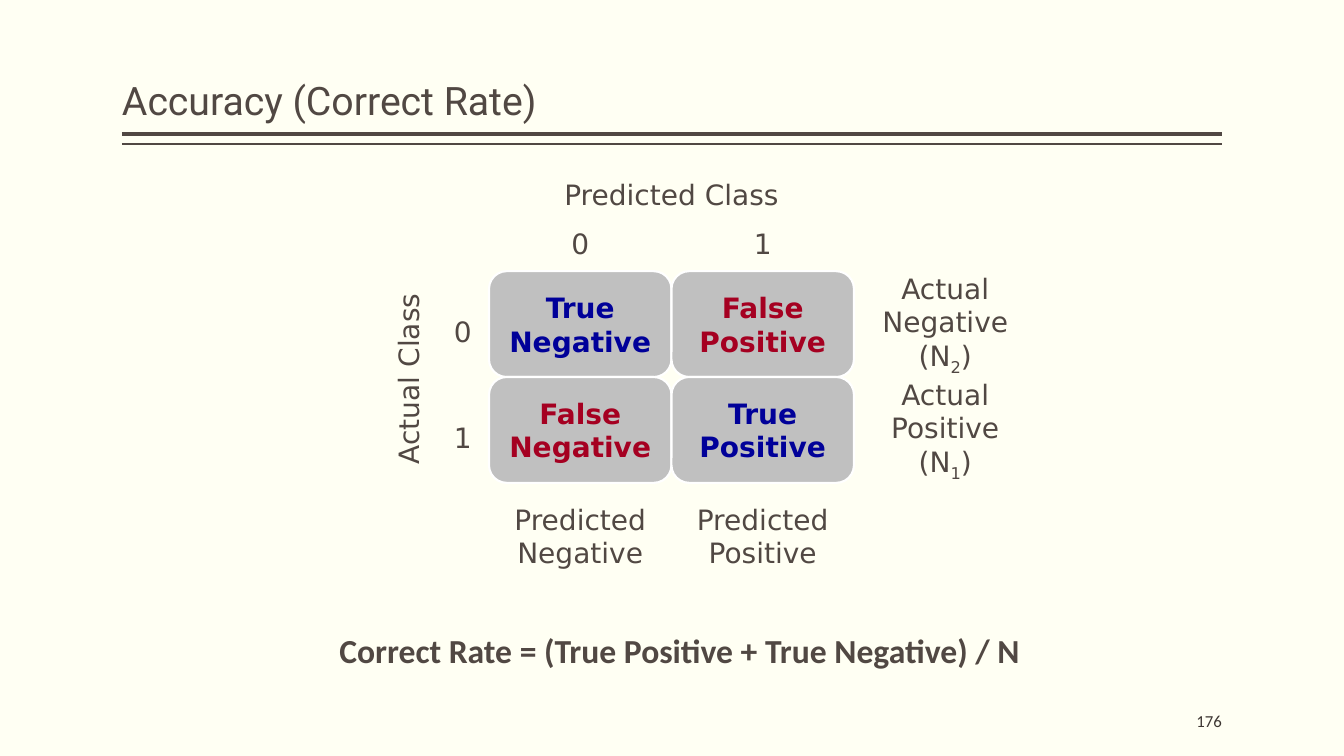
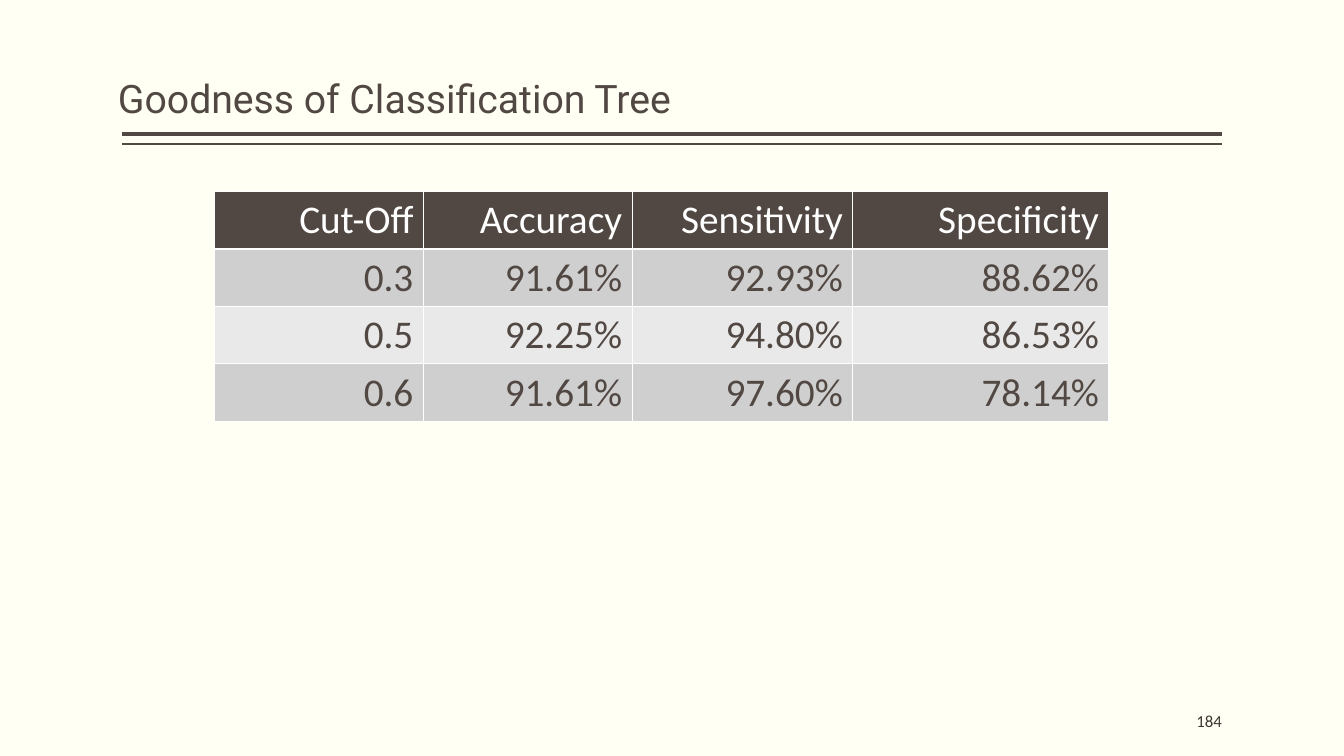
"""Build two slides on classification accuracy and cut-off choice."""
from lxml.etree import SubElement
from pptx import Presentation
from pptx.dml.color import RGBColor
from pptx.enum.shapes import MSO_CONNECTOR, MSO_SHAPE
from pptx.enum.text import MSO_ANCHOR, PP_ALIGN
from pptx.oxml.ns import qn
from pptx.util import Inches, Pt

INK, PAPER, WHITE, GREY = "514843", "FFFFF3", "FFFFFF", "C0C0C0"
RIGHT_CALL, WRONG_CALL = "000099", "A50021"
BANDS = ["D0CFCF", "E9E9E9"]

TITLE = dict(name="Roboto", size=Pt(28), color=INK)
NUMBER = dict(name="Calibri", size=Pt(12), color="3D3632")
LABEL = dict(name="DejaVu Sans", size=Pt(20), color=INK)
FORMULA = dict(name="Calibri", size=Pt(24), color=INK, bold=True)
FIGURE = dict(name="Calibri", size=Pt(28), color=INK)

SLIDE_W, SLIDE_H = 13.33, 7.5
MARGIN = 1.21
RULES = [(1.33, 3), (1.43, 1)]

OUTCOMES = [
    [("True", "Negative", RIGHT_CALL), ("False", "Positive", WRONG_CALL)],
    [("False", "Negative", WRONG_CALL), ("True", "Positive", RIGHT_CALL)],
]
TOTALS = [
    (2, 0, [["Actual"], ["Negative (N", "2", ")"]]),
    (2, 1, [["Actual"], ["Positive (N", "1", ")"]]),
    (0, 2, [["Predicted"], ["Negative"]]),
    (1, 2, [["Predicted"], ["Positive"]]),
]
CLASSES = ["0", "1"]
RATE = "Correct Rate = (True Positive + True Negative) / N"
GRID_X, GRID_Y, CELL_W, CELL_H = 4.85, 2.69, 1.81, 1.05

CUTOFFS = [
    ("Cut-Off", "Accuracy", "Sensitivity", "Specificity"),
    ("0.3", "91.61%", "92.93%", "88.62%"),
    ("0.5", "92.25%", "94.80%", "86.53%"),
    ("0.6", "91.61%", "97.60%", "78.14%"),
]
COLUMN_WIDTHS = [2.07, 2.07, 2.19, 2.54]
ROW_H = 0.57


def rgb(code):
    return RGBColor.from_string(code)


def style(font, look):
    for key, value in look.items():
        if key == "color":
            font.color.rgb = rgb(value)
        else:
            setattr(font, key, value)


def write(frame, lines, look, align=PP_ALIGN.CENTER, **settings):
    """Write lines of runs; the second run of a line is a subscript."""
    for key, value in settings.items():
        setattr(frame, key, value)
    for row, pieces in enumerate(lines):
        line = frame.add_paragraph() if row else frame.paragraphs[0]
        line.alignment = align
        for order, piece in enumerate(pieces):
            run = line.add_run()
            run.text = piece
            style(run.font, look)
            if order == 1:
                run.font._element.set("baseline", "-25000")
    return frame


def add_text(slide, box, lines, look, **settings):
    area = slide.shapes.add_textbox(*map(Inches, box))
    write(area.text_frame, lines, look, **settings)
    return area


def add_label(slide, center_x, center_y, text, width=0.38):
    box = (center_x - width / 2, center_y - 0.22, width, 0.44)
    return add_text(slide, box, [[text]], LABEL, word_wrap=False)


def add_page(deck, title, number, title_box):
    slide = deck.slides.add_slide(deck.slide_layouts[6])
    slide.background.fill.solid()
    slide.background.fill.fore_color.rgb = rgb(PAPER)
    for y, weight in RULES:
        rule = slide.shapes.add_connector(
            MSO_CONNECTOR.STRAIGHT, Inches(MARGIN), Inches(y),
            Inches(SLIDE_W - MARGIN), Inches(y))
        rule.line.color.rgb = rgb(INK)
        rule.line.width = Pt(weight)
        SubElement(rule._element.spPr, qn("a:effectLst"))
    flush = dict(margin_left=0, margin_right=0, word_wrap=True)
    heading = add_text(slide, title_box, [[title]], TITLE, align=PP_ALIGN.LEFT,
                       vertical_anchor=MSO_ANCHOR.BOTTOM, **flush)
    heading.text_frame.paragraphs[0].line_spacing = 0.9
    add_text(slide, (SLIDE_W - MARGIN - 2, 6.95, 2, 0.4), [[number]], NUMBER,
             align=PP_ALIGN.RIGHT, vertical_anchor=MSO_ANCHOR.MIDDLE, **flush)
    return slide


def grid_box(column, row):
    return GRID_X + column * CELL_W, GRID_Y + row * CELL_H, CELL_W, CELL_H


def add_confusion_matrix(slide):
    centered = dict(vertical_anchor=MSO_ANCHOR.MIDDLE, word_wrap=False)
    for row, outcomes in enumerate(OUTCOMES):
        for column, (verdict, sign, color) in enumerate(outcomes):
            tile = slide.shapes.add_shape(
                MSO_SHAPE.ROUNDED_RECTANGLE, *map(Inches, grid_box(column, row)))
            tile.shadow.inherit = False
            tile.fill.solid()
            tile.fill.fore_color.rgb = rgb(GREY)
            tile.line.color.rgb = rgb(WHITE)
            tile.line.width = Pt(1.5)
            write(tile.text_frame, [[verdict], [sign]],
                  {**LABEL, "color": color, "bold": True}, **centered)
    for column, row, lines in TOTALS:
        add_text(slide, grid_box(column, row), lines, LABEL, **centered)
    for index, name in enumerate(CLASSES):
        add_label(slide, GRID_X + (index + 0.5) * CELL_W, 2.42, name)
        add_label(slide, 4.59, GRID_Y + (index + 0.57) * CELL_H, name)
    add_label(slide, GRID_X + CELL_W, 1.93, "Predicted Class", 2.34)
    add_label(slide, 4.05, 3.76, "Actual Class", 1.9).rotation = 270


def add_border(cell):
    properties = cell._tc.get_or_add_tcPr()
    for position, side in enumerate(["lnL", "lnR", "lnT", "lnB"]):
        edge = properties.makeelement(qn("a:" + side), {"w": str(Pt(1))})
        paint = SubElement(edge, qn("a:solidFill"))
        SubElement(paint, qn("a:srgbClr"), val=WHITE)
        properties.insert(position, edge)


def add_cutoff_table(slide):
    size = (sum(COLUMN_WIDTHS), ROW_H * len(CUTOFFS))
    table = slide.shapes.add_table(
        len(CUTOFFS), len(COLUMN_WIDTHS), *map(Inches, (2.13, 1.9, *size))).table
    for column, width in zip(table.columns, COLUMN_WIDTHS):
        column.width = Inches(width)
    for row, values in enumerate(CUTOFFS):
        table.rows[row].height = Inches(ROW_H)
        fill = BANDS[(row - 1) % 2] if row else INK
        look = {**FIGURE, "color": INK if row else WHITE, "bold": False}
        for column, value in enumerate(values):
            cell = table.cell(row, column)
            cell.fill.solid()
            cell.fill.fore_color.rgb = rgb(fill)
            write(cell.text_frame, [[value]], look, PP_ALIGN.RIGHT)
            add_border(cell)


def main():
    deck = Presentation()
    deck.slide_width, deck.slide_height = Inches(SLIDE_W), Inches(SLIDE_H)
    accuracy = add_page(deck, "Accuracy (Correct Rate)", "176",
                        (MARGIN, 0.08, SLIDE_W - 2 * MARGIN, 1.2))
    add_confusion_matrix(accuracy)
    add_text(accuracy, (3.04, 6.2, 7.4, 0.91), [[RATE]], FORMULA, word_wrap=True)
    goodness = add_page(deck, "Goodness of Classification Tree", "184",
                        (1.17, 0.37, 8.62, 0.89))
    add_cutoff_table(goodness)
    deck.save("out.pptx")


if __name__ == "__main__":
    main()
